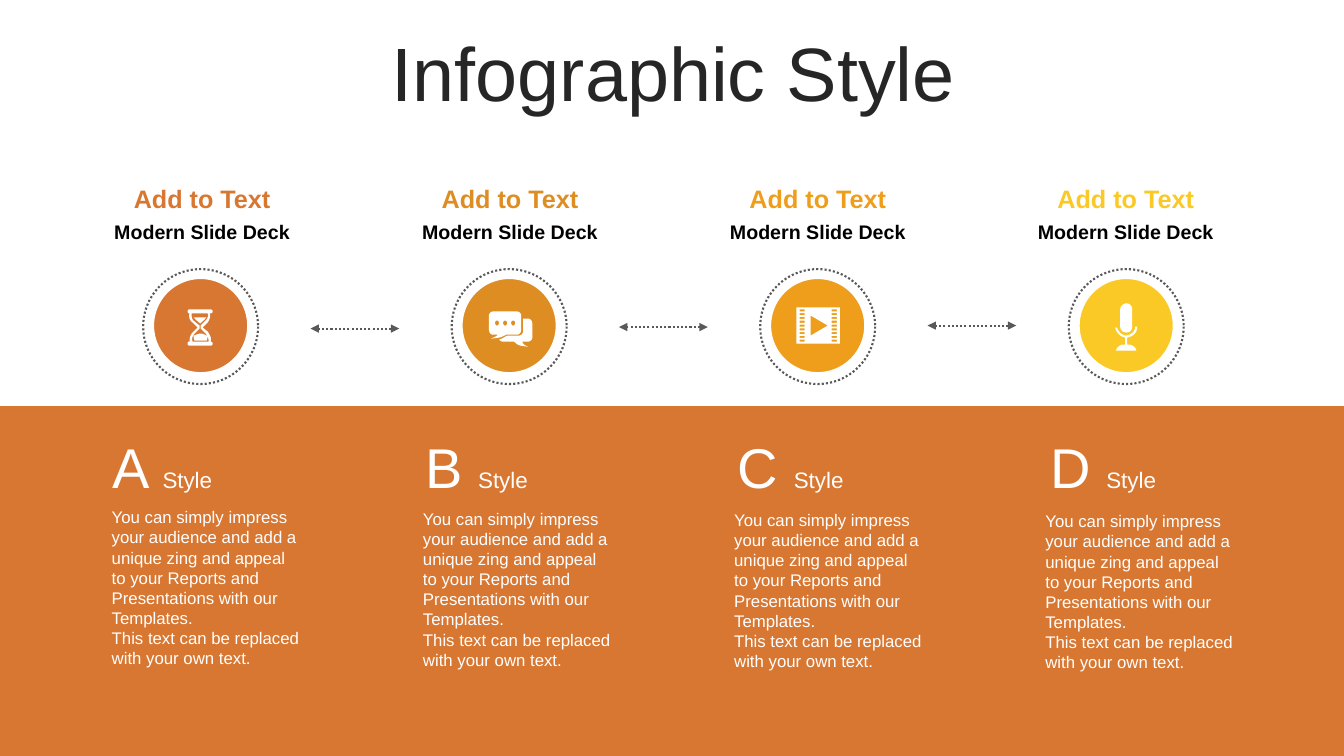
from lxml import etree
from pptx import Presentation
from pptx.dml.color import RGBColor
from pptx.enum.dml import MSO_LINE
from pptx.enum.shapes import MSO_CONNECTOR, MSO_SHAPE
from pptx.enum.text import MSO_ANCHOR, MSO_AUTO_SIZE, PP_ALIGN
from pptx.oxml.ns import qn
from pptx.util import Inches, Pt

WHITE = RGBColor(0xFF, 0xFF, 0xFF)
BLACK = RGBColor(0x00, 0x00, 0x00)
INK = RGBColor(0x26, 0x26, 0x26)
GRAY = RGBColor(0x59, 0x59, 0x59)
RUST = RGBColor(0xD8, 0x77, 0x32)
OCHRE = RGBColor(0xDE, 0x8D, 0x22)
AMBER = RGBColor(0xEF, 0x9E, 0x1B)
YELLOW = RGBColor(0xFA, 0xC9, 0x26)

BODY = [
    "You can simply impress your audience and add a unique zing and appeal "
    "to your Reports and Presentations with our Templates.",
    "This text can be replaced with your own text.",
]

HOURGLASS = """
M 13 24 C 15 24 17 25 19 26 C 20 27 20 29 19 31 L 7 31 C 6 29 6 27 6 26 C 9 25 11 24 13 24
M 6 8 L 19 8 C 18 8 18 9 17 10 L 12.5 14 L 8 10 C 7 9 7 8 6 8
M 4 4 C 4 7 4 10 7 12 L 12 16 L 12 19 L 7 24 C 5 26 4 29 5 32 L 21 32
C 21 29 20 26 18 24 L 13 19 L 13 16 L 18 11 C 20 9 21 6 20 4
M 2 0 L 23 0 C 24 0 25 1 25 2 C 25 3 24 4 23 4 L 22 4 C 23 7 22 10 20 13 L 15 18 L 20 22
C 22 25 24 28 23 32 C 24 32 25 33 25 34 C 25 35 24 36 23 36 L 2 36 C 1 36 0 35 0 34
C 0 32 1 32 2 32 C 2 28 3 25 5 23 L 10 18 L 5 13 C 2 11 1 7 2 4 C 1 4 0 3 0 2 C 0 1 1 0 2 0
"""
DOTS = "".join(
    f"M {x} 9 C {x - 1} 9 {x - 2} 10 {x - 2} 11 C {x - 2} 13 {x - 1} 14 {x} 14 "
    f"C {x + 1} 14 {x + 2} 13 {x + 2} 11 C {x + 2} 10 {x + 1} 9 {x} 9 "
    for x in (8, 16, 24))
CHAT = DOTS + """
M 34 7 L 38 7 C 41 7 43 9 43 12 L 43 26 C 43 28 41 30 38 30 L 33 30 C 34 32 34 33 39 35
C 31 34 29 34 25 30 L 14 30 C 13 30 11 29 10 28 C 13 27 16 25 18 24 L 29 24 C 32 24 34 22 34 19
M 4 0 L 28 0 C 30 0 32 2 32 4 L 32 18 C 32 21 30 23 28 23 L 17 23 C 12 26 10 26 2 27
C 6 25 7 25 9 23 L 4 23 C 2 23 0 21 0 18 L 0 4 C 0 2 2 0 4 0
"""
SLOTS = "".join(
    f"M {x} {y} L {x} {y + 2} L {x + 5} {y + 2} L {x + 5} {y} "
    for x in (3, 35) for y in (2 + 3.75 * n for n in range(9)))
FILM = SLOTS + "M 14 8 L 14 28 L 31 18 M 0 0 L 43 0 L 43 36 L 0 36"
MICROPHONE = """
M 22 23 C 22 29 18 33 12 34 L 12 41 C 13 41 14 41 15 41 C 18 42 21 44 21 47 L 1 47
C 1 45 3 42 7 41 C 8 41 9 41 10 41 L 10 34 C 5 33 1 29 0 24 L 2 24
C 3 28 7 32 11 32 C 16 31 20 28 20 23
M 11 0 C 15 0 17 3 17 6 L 17 23 C 17 26 15 29 11 29 C 8 29 5 26 5 23 L 5 6 C 5 3 8 0 11 0
"""

COLUMNS = [
    ("A", RUST, HOURGLASS, 1.86, 3.07),
    ("B", OCHRE, CHAT, 4.85, 3.09),
    ("C", AMBER, FILM, 7.9, 3.05),
    ("D", YELLOW, MICROPHONE, 11.06, 3.01),
]


def outlines(drawing, left, top):
    contours = []
    for contour in drawing.split("M")[1:]:
        points = []
        for step in ("L" + contour).replace("L", "|L").replace("C", "|C").split("|")[1:]:
            values = [float(v) for v in step[1:].split()]
            pairs = list(zip(values[::2], values[1::2]))
            if step[0] == "L":
                points += pairs
                continue
            corners = list(zip(points[-1], *pairs))
            for t in (n / 6 for n in range(1, 7)):
                u = 1 - t
                points.append(tuple(
                    u**3 * a + 3 * u * u * t * b + 3 * u * t * t * c + t**3 * d
                    for a, b, c, d in corners))
        contours.append([(Inches(left + x / 100), Inches(top + y / 100)) for x, y in points])
    return contours


class Deck:
    font = "Arial"

    def __init__(self):
        self.prs = Presentation()
        self.prs.slide_width = Inches(13.33)
        self.prs.slide_height = Inches(7.5)
        self.slide = self.prs.slides.add_slide(self.prs.slide_layouts[5])

    def style(self, r, size, color, bold=False):
        r.font.name = self.font
        r.font.size = Pt(size)
        r.font.color.rgb = color
        r.font.bold = bold

    def title(self, text, left, top, width, height):
        sp = self.slide.shapes.title
        sp.left, sp.top, sp.width, sp.height = map(Inches, (left, top, width, height))
        tf = sp.text_frame
        tf.text = text
        tf.auto_size = MSO_AUTO_SIZE.NONE
        tf.vertical_anchor = MSO_ANCHOR.MIDDLE
        p = tf.paragraphs[0]
        p.alignment = PP_ALIGN.CENTER
        p.line_spacing = 0.9
        self.style(p.runs[0], 54, INK)

    def text(self, lines, left, top, width, height, size, color, bold=False,
             align=PP_ALIGN.LEFT, anchor=MSO_ANCHOR.TOP):
        sp = self.slide.shapes.add_textbox(*map(Inches, (left, top, width, height)))
        tf = sp.text_frame
        tf.word_wrap = True
        tf.auto_size = MSO_AUTO_SIZE.SHAPE_TO_FIT_TEXT
        tf.vertical_anchor = anchor
        tf.text = "\n".join(lines)
        for p in tf.paragraphs:
            p.alignment = align
            self.style(p.runs[0], size, color, bold)
        return tf.paragraphs[0]

    def lettered(self, letter, label, left, top, width, height):
        p = self.text([letter + " "], left, top, width, height, 40, WHITE,
                      anchor=MSO_ANCHOR.BOTTOM)
        r = p.add_run()
        r.text = label
        self.style(r, 16, WHITE)

    def paint(self, sp, fill=None, line=None, weight=1.5, dash=None):
        sp.shadow.inherit = False
        if fill is None:
            sp.fill.background()
        else:
            sp.fill.solid()
            sp.fill.fore_color.rgb = fill
        if line is None:
            sp.line.fill.background()
        else:
            sp.line.color.rgb = line
            sp.line.width = Pt(weight)
            sp.line.dash_style = dash

    def shape(self, kind, left, top, width, height, **look):
        sp = self.slide.shapes.add_shape(kind, *map(Inches, (left, top, width, height)))
        self.paint(sp, **look)
        return sp

    def icon(self, drawing, left, top):
        first, *others = outlines(drawing, left, top)
        builder = self.slide.shapes.build_freeform(*first[0])
        builder.add_line_segments(first[1:])
        for contour in others:
            builder.move_to(*contour[0])
            builder.add_line_segments(contour[1:])
        self.paint(builder.convert_to_shape(), fill=WHITE)

    def double_arrow(self, start, end, y):
        sp = self.slide.shapes.add_connector(
            MSO_CONNECTOR.STRAIGHT, *map(Inches, (start, y, end, y)))
        sp.line.color.rgb = GRAY
        sp.line.width = Pt(1.5)
        sp.line.dash_style = MSO_LINE.ROUND_DOT
        ln = sp._element.spPr.find(qn("a:ln"))
        for end_tag in ("a:headEnd", "a:tailEnd"):
            etree.SubElement(ln, qn(end_tag)).set("type", "triangle")
        etree.SubElement(sp._element.spPr, qn("a:effectLst"))


def main():
    deck = Deck()
    deck.title("Infographic Style", 0.35, 0.37, 12.66, 0.79)
    deck.shape(MSO_SHAPE.RECTANGLE, 0, 4.03, 13.33, 3.47, fill=RUST)
    for i, (letter, color, drawing, icon_left, icon_top) in enumerate(COLUMNS):
        deck.text(BODY, 1.01 + 9.26 * i / 3, 4.98 + 0.04 * i / 3, 2.07, 1.72, 12, WHITE)
        deck.lettered(letter, "Style", 1.02 + 3.1 * i, 4.24, 1.57, 0.77)
        disc = deck.shape(MSO_SHAPE.OVAL, 1.52 + 3.06 * i, 2.76, 0.94, 0.94,
                          fill=color, line=WHITE, weight=1.25)
        ring = deck.shape(MSO_SHAPE.OVAL, 1.42 + 3.06 * i, 2.67, 1.14, 1.14,
                          line=GRAY, dash=MSO_LINE.ROUND_DOT)
        disc.rotation = ring.rotation = 180
        deck.icon(drawing, icon_left, icon_top)
        if i < len(COLUMNS) - 1:
            deck.double_arrow(3.96 + 3.06 * i, 3.08 + 3.06 * i, 3.26 - 0.03 * i / 2)
        head_left = 0.93 + 9.16 * i / 3
        deck.text(["Add to Text"], head_left, 1.77, 2.15, 0.4, 18, color, True, PP_ALIGN.CENTER)
        deck.text(["Modern Slide Deck"], head_left, 2.13, 2.15, 0.34, 14, BLACK, True,
                  PP_ALIGN.CENTER)
    deck.prs.save("out.pptx")


if __name__ == "__main__":
    main()
